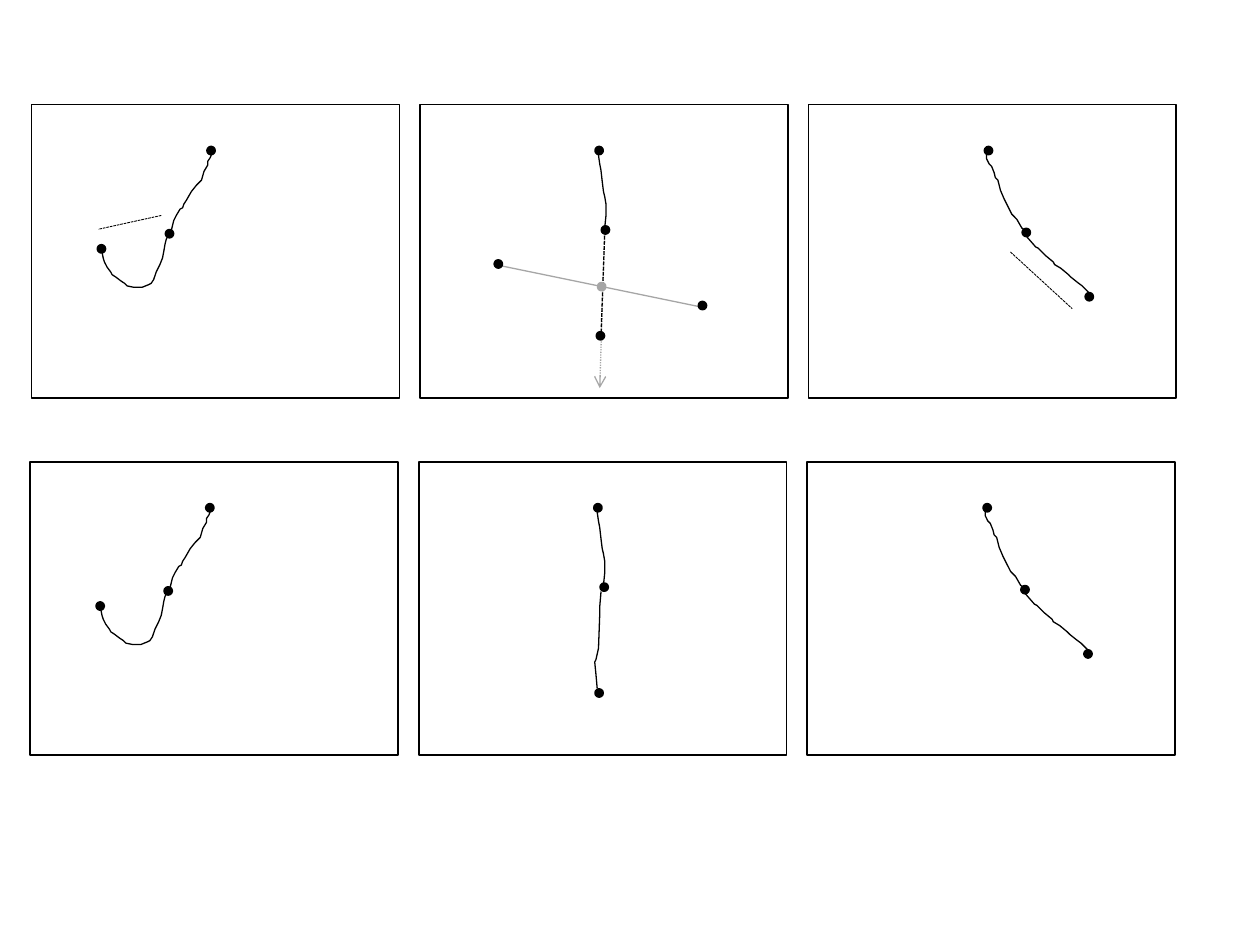
"""Draw two rows of three panels with dotted curves, guides and an arrow."""
from lxml.etree import SubElement
from pptx import Presentation
from pptx.dml.color import RGBColor
from pptx.enum.dml import MSO_LINE
from pptx.enum.shapes import MSO_CONNECTOR, MSO_SHAPE
from pptx.oxml.ns import qn
from pptx.util import Inches, Pt

BLACK, GREY = "000000", "A6A6A6"
DASH, DOT = MSO_LINE.SQUARE_DOT, MSO_LINE.ROUND_DOT
LEFT, TOP, WIDE, HIGH = 0.25, 0.83, 2.92, 2.33
STEP, DROP, NUDGE, SPOT = 3.083, 2.835, -0.01, 0.05

HOOK = [
    (1.68, 1.22), (1.67, 1.25), (1.65, 1.28), (1.65, 1.31), (1.62, 1.36),
    (1.6, 1.43), (1.56, 1.47), (1.52, 1.52), (1.48, 1.59), (1.46, 1.62),
    (1.45, 1.65), (1.43, 1.66), (1.4, 1.71), (1.38, 1.75), (1.37, 1.79),
    (1.36, 1.83), (1.34, 1.86), (1.32, 1.9), (1.31, 1.94), (1.3, 2),
    (1.29, 2.05), (1.27, 2.1), (1.24, 2.16), (1.22, 2.22), (1.2, 2.25),
    (1.18, 2.26), (1.13, 2.28), (1.06, 2.28), (1.01, 2.27), (0.99, 2.25),
    (0.96, 2.23), (0.92, 2.2), (0.89, 2.18), (0.88, 2.16), (0.85, 2.12),
    (0.83, 2.08), (0.82, 2.05), (0.81, 2),
]
STEM = [
    (4.75, 1.23), (4.76, 1.3), (4.77, 1.35), (4.78, 1.44), (4.79, 1.52),
    (4.8, 1.56), (4.81, 1.62), (4.81, 1.71), (4.8, 1.81), (4.78, 1.85),
]
TAIL = [
    (4.78, 1.86), (4.77, 1.98), (4.77, 2.04), (4.76, 2.31), (4.74, 2.4),
    (4.73, 2.42), (4.74, 2.52), (4.75, 2.63),
]
SLOPE = [
    (7.83, 1.19), (7.83, 1.26), (7.85, 1.3), (7.87, 1.32), (7.89, 1.37),
    (7.9, 1.41), (7.92, 1.43), (7.94, 1.51), (7.97, 1.58), (7.99, 1.62),
    (8.01, 1.66), (8.03, 1.7), (8.07, 1.74), (8.11, 1.81), (8.15, 1.84),
    (8.15, 1.88), (8.22, 1.96), (8.24, 1.97), (8.3, 2.03), (8.36, 2.08),
    (8.37, 2.1), (8.42, 2.13), (8.48, 2.18), (8.5, 2.2), (8.55, 2.24),
    (8.59, 2.27), (8.63, 2.31), (8.65, 2.33),
]
CURVES = [HOOK, STEM, SLOPE]
DOTS = [
    (1.65, 1.17), (1.32, 1.83), (0.78, 1.95),
    (4.73, 1.17), (4.78, 1.8), (4.74, 2.64),
    (7.82, 1.17), (8.12, 1.82), (8.62, 2.33),
]
ENDS = [(3.93, 2.07), (5.55, 2.4)]
CROSS = (4.75, 2.25)
GUIDES = [
    ((4.8, 1.83), (4.76, 3.08), GREY, 0.75, DOT, True),
    ((4.8, 1.83), (4.77, 2.67), BLACK, 0.75, DASH, False),
    ((3.93, 2.1), (5.58, 2.44), GREY, 0.75, None, False),
    ((8.02, 2), (8.51, 2.45), BLACK, 0.5, DASH, False),
    ((1.28, 1.71), (0.78, 1.82), BLACK, 0.5, DASH, False),
]


def ink(part, hue, size):
    part.line.color.rgb = RGBColor.from_string(hue)
    part.line.width = Pt(size)


def shape(kind, x, y, w, h, hue, size, fill=None):
    part = tree.add_shape(kind, Inches(x), Inches(y), Inches(w), Inches(h))
    part.shadow.inherit = False
    ink(part, hue, size)
    if fill:
        part.fill.solid()
        part.fill.fore_color.rgb = RGBColor.from_string(fill)
    else:
        part.fill.background()


def dot(x, y, hue=BLACK):
    shape(MSO_SHAPE.OVAL, x, y, SPOT, SPOT, hue, 2, hue)


def guide(start, end, hue, size, dash, arrow):
    part = tree.add_connector(
        MSO_CONNECTOR.STRAIGHT, *map(Inches, start + end))
    ink(part, hue, size)
    if dash:
        part.line.dash_style = dash
    if arrow:
        SubElement(part.line._get_or_add_ln(), qn("a:tailEnd"), type="arrow")
    SubElement(part._element.spPr, qn("a:effectLst"))


def curve(points, dx, dy):
    spots = [(Inches(x + dx), Inches(y + dy)) for x, y in points]
    pen = tree.build_freeform(*spots[0])
    pen.add_line_segments(spots[1:], close=False)
    part = pen.convert_to_shape()
    part.shadow.inherit = False
    part.fill.background()
    ink(part, BLACK, 0.75)


def row(dx, dy, curves, dots):
    for col in range(3):
        shape(MSO_SHAPE.RECTANGLE, LEFT + col * STEP + dx, TOP + dy,
              WIDE, HIGH, BLACK, 1)
    for points in curves:
        curve(points, dx, dy)
    for x, y in dots:
        dot(x + dx, y + dy)


deck = Presentation()
deck.slide_width, deck.slide_height = Inches(10), Inches(7.5)
tree = deck.slides.add_slide(deck.slide_layouts[6]).shapes

for item in GUIDES:
    guide(*item)
dot(*CROSS, GREY)
row(0, 0, CURVES, DOTS + ENDS)
row(NUDGE, DROP, CURVES + [TAIL], DOTS)
deck.save("out.pptx")
